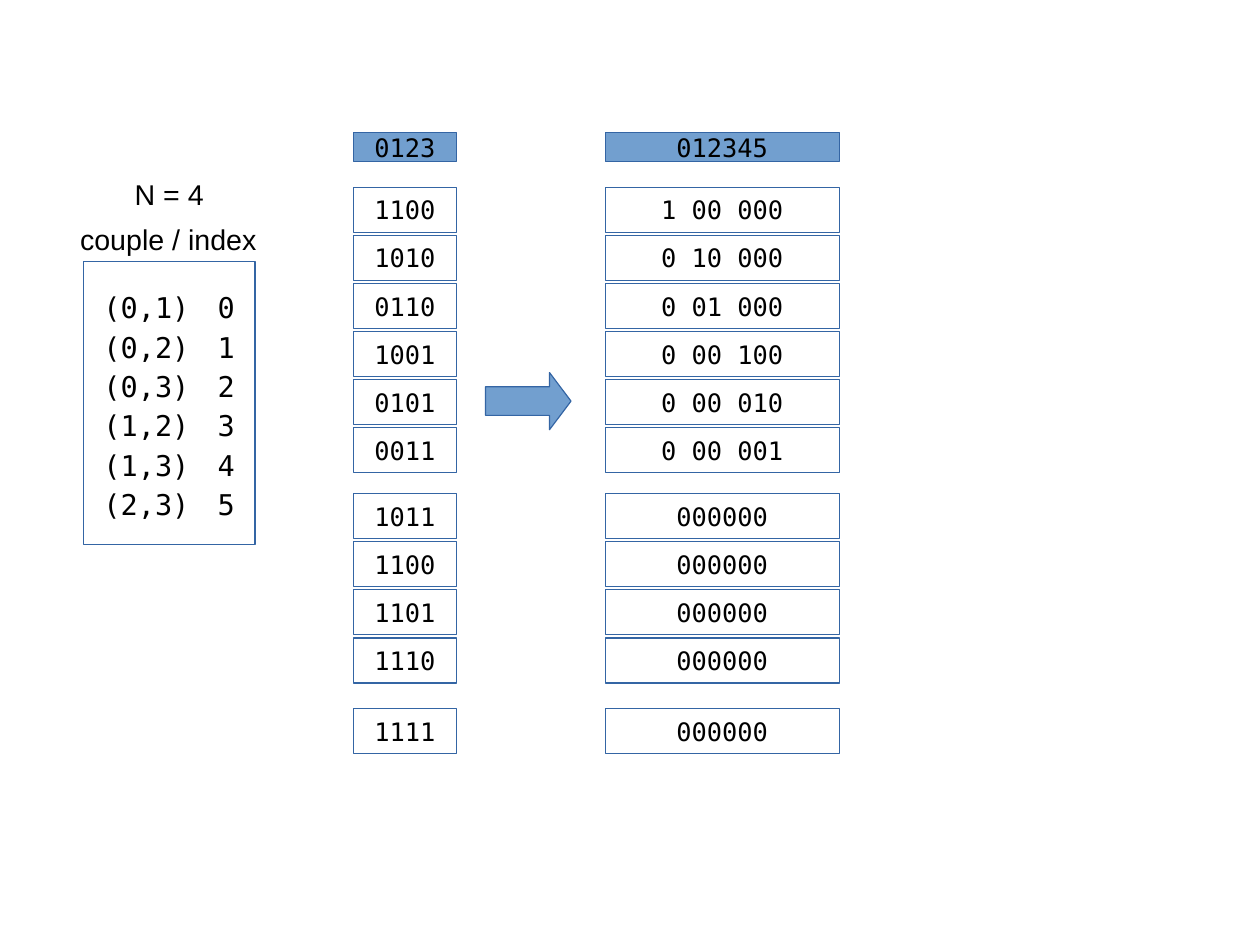
from pptx import Presentation
from pptx.dml.color import RGBColor
from pptx.enum.shapes import MSO_SHAPE
from pptx.enum.text import MSO_ANCHOR, PP_ALIGN
from pptx.util import Emu, Pt

RECTANGLE = MSO_SHAPE.RECTANGLE
RIGHT_ARROW = MSO_SHAPE.RIGHT_ARROW
CENTER = PP_ALIGN.CENTER
MIDDLE = MSO_ANCHOR.MIDDLE

EMU_PER_PX = 3600
COLORS = {"fill": "729FCF", "line": "3465A4", "text": "000000"}
MONO = "DejaVu Sans Mono"
SANS = "Arial"

LABEL_HEIGHT = 127
HEADER_HEIGHT = 64
ROW_HEIGHT = 100
ROW_PITCH = 107
GROUP_TOPS = [121, 802, 1280]  # from the top of the column

COUPLES = ["(0,1)", "(0,2)", "(0,3)", "(1,2)", "(1,3)", "(2,3)"]
VECTOR_GROUPS = [
    ["1100", "1010", "0110", "1001", "0101", "0011"],
    ["1011", "1100", "1101", "1110"],
    ["1111"],
]
COUPLE_GROUPS = [
    ["1 00 000", "0 10 000", "0 01 000", "0 00 100", "0 00 010", "0 00 001"],
    ["000000"] * 4,
    ["000000"],
]


def px(*lengths):
    return [Emu(length * EMU_PER_PX) for length in lengths]


def color(name):
    return RGBColor.from_string(COLORS[name])


def write(shape, text, font_name, size, line_spacing=None):
    frame = shape.text_frame
    frame.word_wrap = True
    frame.vertical_anchor = MIDDLE
    frame.text = text
    for paragraph in frame.paragraphs:
        paragraph.alignment = CENTER
        paragraph.line_spacing = line_spacing
        for run in paragraph.runs:
            run.font.name = font_name
            run.font.size = Pt(size)
            run.font.color.rgb = color("text")


def add_outlined(slide, kind, box, filled=False):
    shape = slide.shapes.add_shape(kind, *px(*box))
    shape.shadow.inherit = False
    if filled:
        shape.fill.solid()
        shape.fill.fore_color.rgb = color("fill")
    else:
        shape.fill.background()
    shape.line.color.rgb = color("line")
    shape.line.width = Pt(0)
    return shape


def add_label(slide, left, top, width, text):
    label = slide.shapes.add_textbox(*px(left, top, width, LABEL_HEIGHT))
    write(label, text, SANS, 18)


def add_couple_index(slide, left, top, width):
    add_label(slide, left, top, width, "N = 4")
    add_label(slide, left - 77, top + 99, width + 150, "couple / index")
    listing = add_outlined(slide, RECTANGLE, (left, top + 213, width, 630))
    lines = [f"{couple}\t{index}" for index, couple in enumerate(COUPLES)]
    write(listing, "\n".join(lines), MONO, 18, 1.15)


def add_bit_column(slide, left, top, width, header, groups):
    """Place a filled header and below it the groups of bit strings."""
    heading = add_outlined(slide, RECTANGLE, (left, top, width, HEADER_HEIGHT), True)
    write(heading, header, MONO, 16)
    for group_top, rows in zip(GROUP_TOPS, groups):
        for index, bits in enumerate(rows):
            row_top = top + group_top + index * ROW_PITCH
            row = add_outlined(slide, RECTANGLE, (left, row_top, width, ROW_HEIGHT))
            write(row, bits, MONO, 16)


def add_arrow(slide, box):
    arrow = add_outlined(slide, RIGHT_ARROW, box, True)
    arrow.adjustments[0] = 0.5
    arrow.adjustments[1] = 0.375


def main():
    presentation = Presentation()
    presentation.slide_width, presentation.slide_height = px(2800, 2100)
    slide = presentation.slides.add_slide(presentation.slide_layouts[6])
    add_couple_index(slide, 185, 368, 382)
    add_bit_column(slide, 785, 295, 230, "0123", VECTOR_GROUPS)
    add_arrow(slide, (1079, 828, 190, 127))
    add_bit_column(slide, 1345, 295, 520, "012345", COUPLE_GROUPS)
    presentation.save("out.pptx")


if __name__ == "__main__":
    main()
